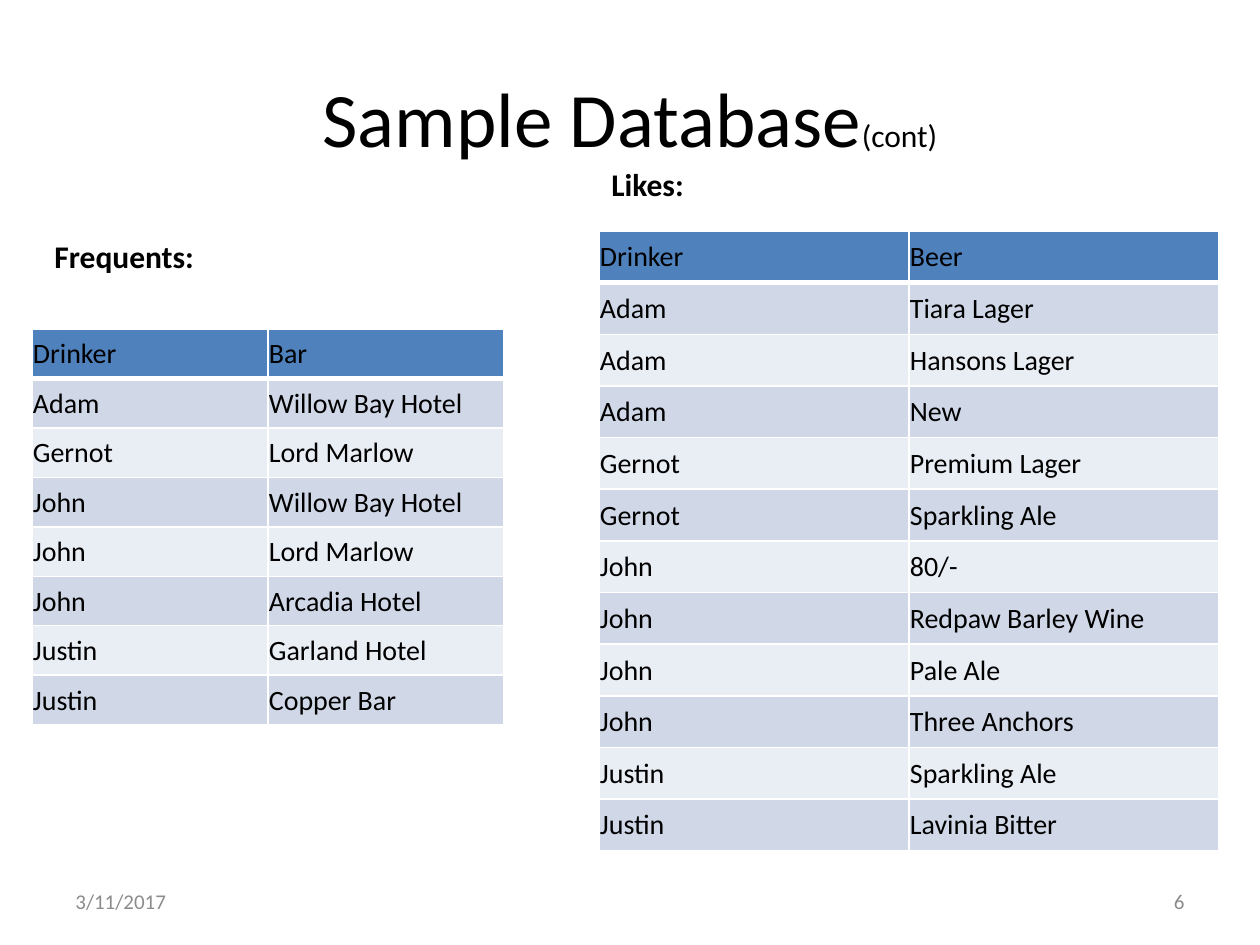
from dataclasses import dataclass

from lxml.etree import SubElement
from pptx import Presentation
from pptx.dml.color import RGBColor
from pptx.enum.text import MSO_ANCHOR as Anchor, PP_ALIGN as Align
from pptx.oxml.ns import qn
from pptx.util import Emu, Pt

PX_PER_INCH = 126


def px(length: float) -> Emu:
    return Emu(round(length * 914400 / PX_PER_INCH))


@dataclass(frozen=True)
class Theme:
    font: str = "Calibri"
    ink: str = "000000"
    muted: str = "8C8C8C"
    header: str = "4F81BD"
    bands: tuple[str, str] = ("D0D8E8", "E9EDF4")
    rule: str = "FFFFFF"
    thin: float = 1
    thick: float = 3
    title: int = 44
    label: int = 18
    body: int = 16
    footer: int = 12


THEME = Theme()


@dataclass(frozen=True)
class Run:
    text: str
    size: int
    color: str = THEME.ink
    bold: bool = False


@dataclass(frozen=True)
class Box:
    left: int
    top: int
    width: int
    height: int

    def emu(self) -> tuple[Emu, ...]:
        return tuple(px(v) for v in (self.left, self.top, self.width, self.height))


@dataclass(frozen=True)
class Caption:
    box: Box
    runs: tuple[Run, ...]
    align: Align = Align.LEFT
    anchor: Anchor = Anchor.MIDDLE


@dataclass(frozen=True)
class Relation:
    box: Box
    rows: tuple[tuple[str, str], ...]


def apply(target, formats: dict) -> None:
    for name, value in formats.items():
        setattr(target, name, value)


def add_runs(paragraph, runs: tuple[Run, ...]) -> None:
    for item in runs:
        run = paragraph.add_run()
        run.text = item.text
        apply(run.font, {"name": THEME.font, "size": Pt(item.size), "bold": item.bold})
        run.font.color.rgb = RGBColor.from_string(item.color)


def add_caption(slide, caption: Caption) -> None:
    frame = slide.shapes.add_textbox(*caption.box.emu()).text_frame
    apply(frame, {"word_wrap": True, "vertical_anchor": caption.anchor})
    frame.paragraphs[0].alignment = caption.align
    add_runs(frame.paragraphs[0], caption.runs)


def set_borders(cell, widths: dict[str, float]) -> None:
    properties = cell._tc.get_or_add_tcPr()
    for index, (side, width) in enumerate(widths.items()):
        line = SubElement(properties, qn(f"a:ln{side}"), w=str(Pt(width)))
        fill = SubElement(line, qn("a:solidFill"))
        SubElement(fill, qn("a:srgbClr"), val=THEME.rule)
        # Borders come before the cell fill
        properties.insert(index, line)


def add_relation(slide, relation: Relation) -> None:
    row_count, column_count = len(relation.rows), len(relation.rows[0])
    table = slide.shapes.add_table(row_count, column_count, *relation.box.emu()).table
    for column in table.columns:
        column.width = px(relation.box.width / column_count)
    for r, values in enumerate(relation.rows):
        table.rows[r].height = px(relation.box.height / row_count)
        for c, value in enumerate(values):
            cell = table.cell(r, c)
            apply(cell, {
                "margin_left": px(1), "margin_right": px(1),
                "margin_top": px(1), "margin_bottom": 0,
                "vertical_anchor": Anchor.MIDDLE,
            })
            add_runs(cell.text_frame.paragraphs[0], (Run(value, THEME.body),))
            cell.fill.solid()
            color = THEME.bands[(r - 1) % 2] if r else THEME.header
            cell.fill.fore_color.rgb = RGBColor.from_string(color)
            set_borders(cell, {
                "L": THEME.thin, "R": THEME.thin,
                "T": THEME.thick if r == 1 else THEME.thin,
                "B": THEME.thick if r == 0 else THEME.thin,
            })


# Content
LIKES = Relation(Box(599, 231, 620, 620), (
    ("Drinker", "Beer"),
    ("Adam", "Tiara Lager"),
    ("Adam", "Hansons Lager"),
    ("Adam", "New"),
    ("Gernot", "Premium Lager"),
    ("Gernot", "Sparkling Ale"),
    ("John", "80/-"),
    ("John", "Redpaw Barley Wine"),
    ("John", "Pale Ale"),
    ("John", "Three Anchors"),
    ("Justin", "Sparkling Ale"),
    ("Justin", "Lavinia Bitter"),
))
FREQUENTS = Relation(Box(32, 329, 472, 396), (
    ("Drinker", "Bar"),
    ("Adam", "Willow Bay Hotel"),
    ("Gernot", "Lord Marlow"),
    ("John", "Willow Bay Hotel"),
    ("John", "Lord Marlow"),
    ("John", "Arcadia Hotel"),
    ("Justin", "Garland Hotel"),
    ("Justin", "Copper Bar"),
))
CAPTIONS = (
    Caption(Box(63, 38, 1134, 158),
            (Run("Sample Database", THEME.title), Run("(cont)", THEME.label)), Align.CENTER),
    Caption(Box(599, 159, 168, 53),
            (Run("Likes:", THEME.label, bold=True),), anchor=Anchor.TOP),
    Caption(Box(42, 231, 210, 50),
            (Run("Frequents:", THEME.label, bold=True),), anchor=Anchor.TOP),
    Caption(Box(63, 876, 294, 50), (Run("3/11/2017", THEME.footer, THEME.muted),)),
    Caption(Box(903, 876, 294, 50), (Run("6", THEME.footer, THEME.muted),), Align.RIGHT),
)

# Slide
deck = Presentation()
apply(deck, {"slide_width": px(1260), "slide_height": px(945)})
sample_database = deck.slides.add_slide(deck.slide_layouts[6])
for relation in (LIKES, FREQUENTS):
    add_relation(sample_database, relation)
for caption in CAPTIONS:
    add_caption(sample_database, caption)
deck.save("out.pptx")
